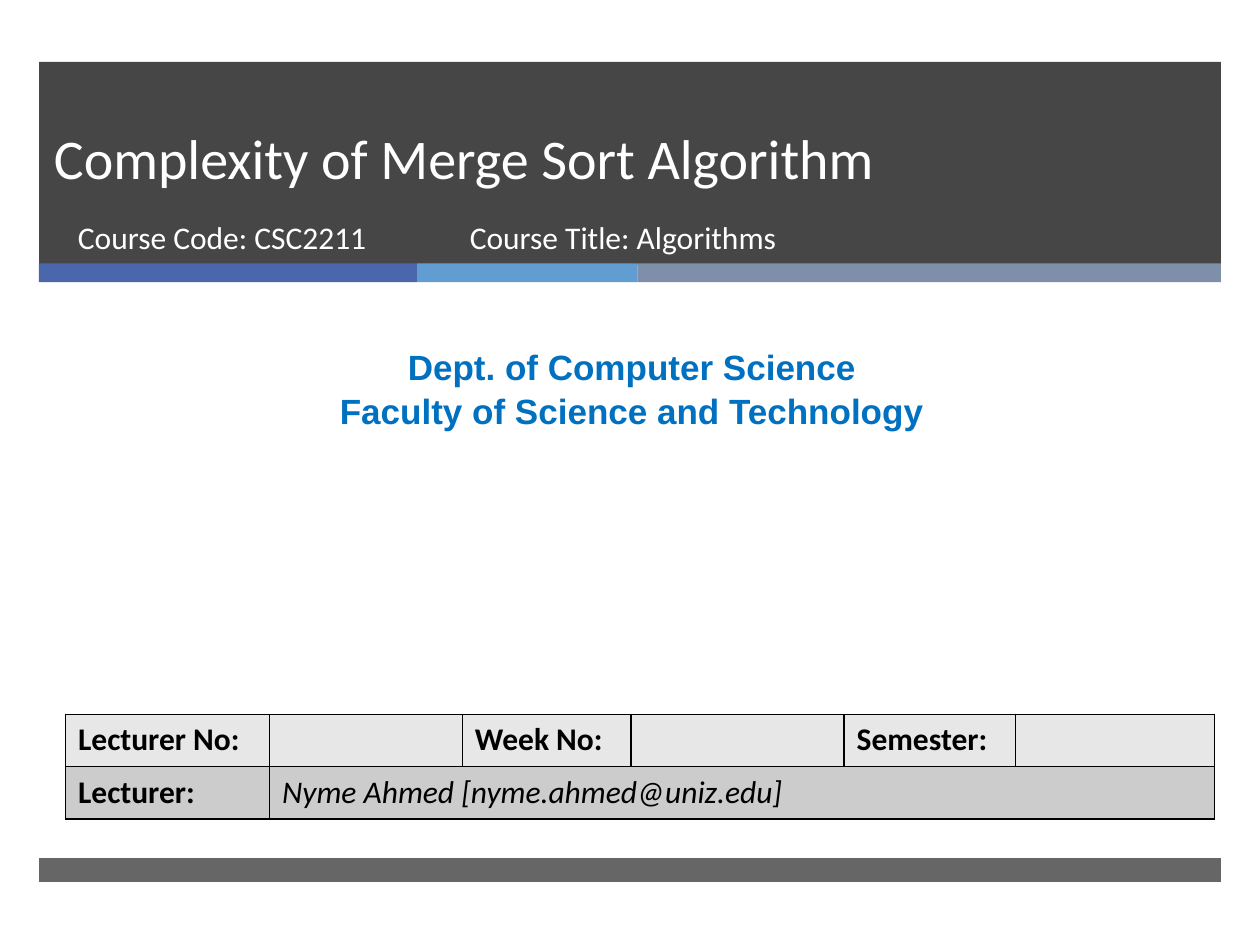
from itertools import product

from lxml.etree import SubElement
from pptx import Presentation
from pptx.dml.color import RGBColor
from pptx.enum.shapes import MSO_SHAPE as Shape
from pptx.enum.text import MSO_ANCHOR as Anchor, PP_ALIGN as Align
from pptx.oxml import parse_xml
from pptx.oxml.ns import nsdecls, qn
from pptx.util import Inches, Pt

COLORS = {
    "dark": "262626", "blue": "4A66AC", "sky": "629DD1", "slate": "7F8FA9",
    "white": "FFFFFF", "black": "000000", "heading": "0070C0",
    "row_light": "E7E7E7", "row_dark": "CCCCCC",
}


class CourseSlide:
    """Hold the style and the current slide, and add each kind of element."""

    def __init__(self, prs):
        self.slide = prs.slides.add_slide(prs.slide_layouts[6])
        self.body = {"name": "Calibri", "size": Pt(18), "bold": False, "italic": False}

    def paint(self, fill, color):
        fill.solid()
        fill.fore_color.rgb = RGBColor.from_string(COLORS[color])

    def add_words(self, paragraph, words, color, **formats):
        run = paragraph.add_run()
        run.text = words
        for key, value in {**self.body, **formats}.items():
            setattr(run.font, key, value)
        run.font.color.rgb = RGBColor.from_string(COLORS[color])

    def band(self, box, color, opacity=100):
        bar = self.slide.shapes.add_shape(Shape.RECTANGLE, *map(Inches, box))
        bar.shadow.inherit = False
        bar.line.fill.background()
        self.paint(bar.fill, color)
        if opacity < 100:
            tint = bar.fill._xPr.find(qn("a:solidFill"))[0]
            SubElement(tint, qn("a:alpha"), val=str(opacity * 1000))

    def text(self, box, lines, color="white", anchor=Anchor.TOP,
             align=Align.LEFT, spacing=1.0, **formats):
        frame = self.slide.shapes.add_textbox(*map(Inches, box)).text_frame
        frame.word_wrap = True
        frame.vertical_anchor = anchor
        for index, line in enumerate(lines):
            paragraph = frame.add_paragraph() if index else frame.paragraphs[0]
            paragraph.alignment = align
            paragraph.line_spacing = spacing
            self.add_words(paragraph, line, color, **formats)

    def border(self, cell):
        for index, side in enumerate("LRTB"):
            cell._tc.get_or_add_tcPr().insert(index, parse_xml(
                f'<a:ln{side} {nsdecls("a")} w="{Pt(1)}"><a:solidFill>'
                f'<a:srgbClr val="{COLORS["black"]}"/></a:solidFill></a:ln{side}>'))

    def table(self, box, widths, fills, entries):
        grid = self.slide.shapes.add_table(
            len(fills), len(widths), *map(Inches, box)).table
        for column, width in zip(grid.columns, widths):
            column.width = Inches(width)
        for row, column in product(range(len(fills)), range(len(widths))):
            cell = grid.cell(row, column)
            self.paint(cell.fill, fills[row])
            self.border(cell)
        for (row, column), (entry, formats) in entries.items():
            paragraph = grid.cell(row, column).text_frame.paragraphs[0]
            self.add_words(paragraph, entry, "black", **formats)
        return grid


def main():
    prs = Presentation()
    prs.slide_width, prs.slide_height = Inches(10), Inches(7.5)
    cover = CourseSlide(prs)

    left, width = 0.31, 9.38
    cover.band((left, 0.49, width, 1.61), "dark", 85)
    stripe_left = left
    for stripe_width, color in ((3, "blue"), (1.75, "sky"), (4.63, "slate")):
        cover.band((stripe_left, 2.09, stripe_width, 0.15), color)
        stripe_left += stripe_width
    cover.band((left, 6.81, width, 0.19), "dark", 70)

    cover.text((0.33, 0.79, 8.54, 0.77), ["Complexity of Merge Sort Algorithm"],
               anchor=Anchor.BOTTOM, size=Pt(32))
    cover.text((0.52, 1.68, 3.05, 0.53), ["Course Code: CSC2211"])
    cover.text((3.63, 1.68, 4.55, 0.53), ["Course Title: Algorithms"])
    cover.text((0.08, 2.68, 9.87, 0.77),
               ["Dept. of Computer Science", "Faculty of Science and Technology"],
               "heading", align=Align.CENTER, spacing=1.04,
               name="Arial", size=Pt(20), bold=True)

    label = {"bold": True}
    lecture = cover.table(
        (0.52, 5.67, 9.12, 0.83), (1.62, 1.53, 1.34, 1.69, 1.36, 1.58),
        ("row_light", "row_dark"),
        {(0, 0): ("Lecturer No:", label), (0, 2): ("Week No:", label),
         (0, 4): ("Semester:", label), (1, 0): ("Lecturer:", label),
         (1, 1): ("Nyme Ahmed [nyme.ahmed@uniz.edu]", {"italic": True})})
    lecture.cell(1, 1).merge(lecture.cell(1, 5))

    prs.save("out.pptx")


if __name__ == "__main__":
    main()
